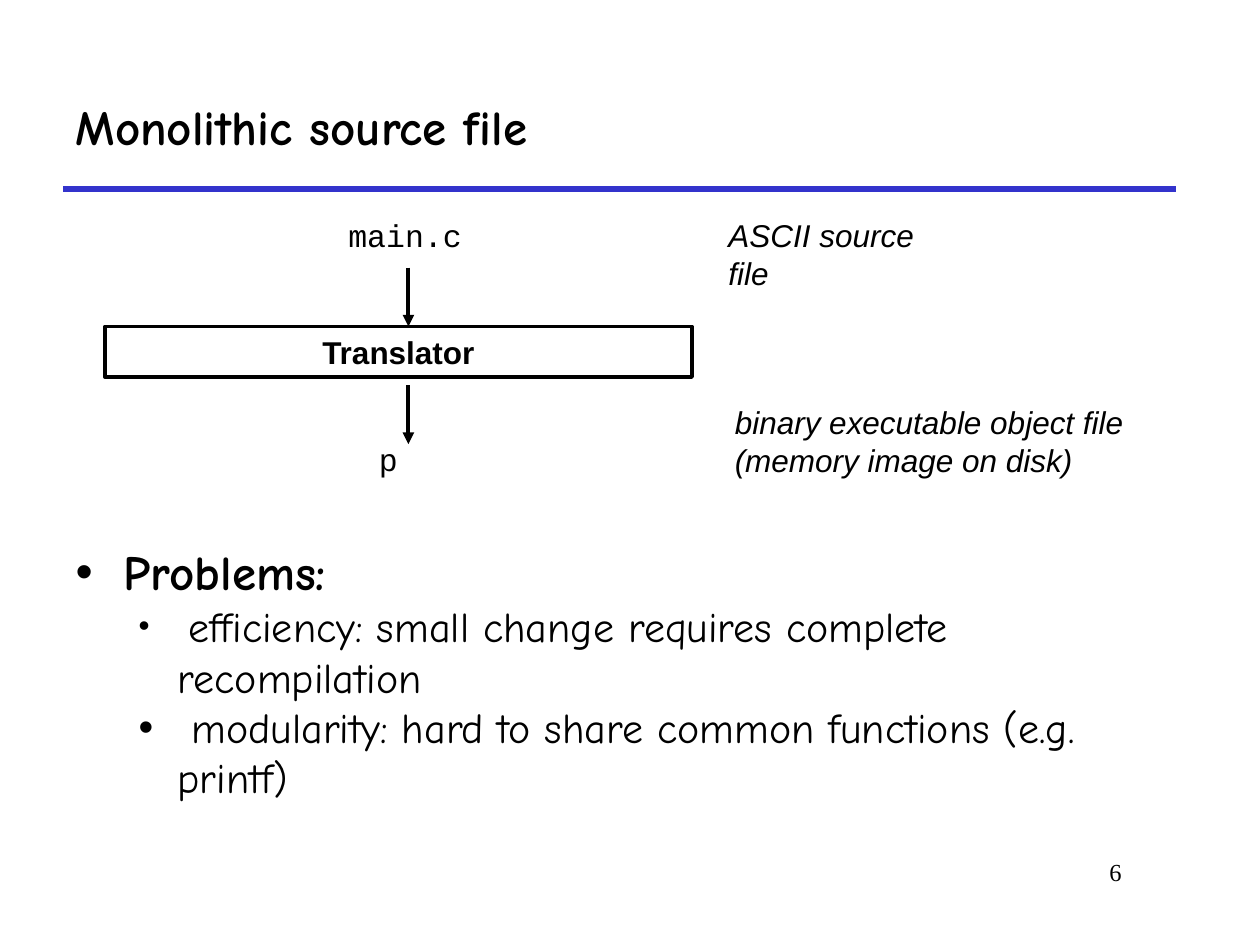
from dataclasses import dataclass

from lxml.etree import SubElement
from pptx import Presentation
from pptx.dml.color import RGBColor
from pptx.enum.shapes import MSO_CONNECTOR, MSO_SHAPE
from pptx.enum.text import MSO_ANCHOR, MSO_AUTO_SIZE, PP_ALIGN
from pptx.oxml.ns import qn
from pptx.util import Inches, Pt


@dataclass(frozen=True)
class Theme:
    ink: RGBColor = RGBColor(0, 0, 0)
    accent: RGBColor = RGBColor(0x33, 0x33, 0xCC)
    heading_font: str = "Comic Neue"
    label_font: str = "Arial"
    code_font: str = "Courier New"
    number_font: str = "Times New Roman"
    heading_size: int = 28
    detail_size: int = 24
    label_size: int = 18
    number_size: int = 14
    rule_width: float = 3
    line_width: float = 2.25


def grid(*cells):
    """Lengths from columns and rows of a grid with 12 cells to the inch."""
    return [Inches(cell / 12) for cell in cells]


class SlideBuilder:
    def __init__(self, prs, theme):
        self.theme = theme
        self.s = prs.slides.add_slide(prs.slide_layouts[1])

    def run(self, p, text, font, size, bold=False, italic=False):
        r = p.add_run()
        r.text = text
        r.font.name, r.font.size = font, Pt(size)
        r.font.bold, r.font.italic = bold, italic
        r.font.color.rgb = self.theme.ink

    def place(self, sp, box):
        sp.left, sp.top, sp.width, sp.height = grid(*box)
        sp.text_frame.auto_size = MSO_AUTO_SIZE.NONE
        return sp.text_frame

    def title(self, text, box):
        tf = self.place(self.s.shapes.title, box)
        tf.vertical_anchor = MSO_ANCHOR.MIDDLE
        p = tf.paragraphs[0]
        p.alignment = PP_ALIGN.LEFT
        self.run(p, text, self.theme.heading_font, self.theme.heading_size, bold=True)

    def bullets(self, items, box):
        """Fill the body; each item is a level and its (text, size, bold) runs."""
        tf = self.place(self.s.placeholders[1], box)
        for i, (level, runs) in enumerate(items):
            p = tf.add_paragraph() if i else tf.paragraphs[0]
            p.level = level
            p.space_before = Pt(0)
            margin, indent = ((0.38, -0.38), (0.81, -0.31))[level]
            pPr = p._p.get_or_add_pPr()
            pPr.set("marL", str(Inches(margin)))
            pPr.set("indent", str(Inches(indent)))
            color = SubElement(pPr, qn("a:buClr"))
            SubElement(color, qn("a:srgbClr")).set("val", str(self.theme.ink))
            SubElement(pPr, qn("a:buChar")).set("char", "•")
            for text, size, bold in runs:
                self.run(p, text, self.theme.heading_font, size, bold)

    def label(self, lines, box, font, size, align=PP_ALIGN.LEFT, italic=False, wrap=False):
        tf = self.s.shapes.add_textbox(*grid(*box)).text_frame
        tf.word_wrap = wrap
        for i, line in enumerate(lines):
            p = tf.add_paragraph() if i else tf.paragraphs[0]
            p.alignment = align
            self.run(p, line, font, size, italic=italic)

    def box(self, text, box):
        sp = self.s.shapes.add_shape(MSO_SHAPE.RECTANGLE, *grid(*box))
        sp.shadow.inherit = False
        sp.fill.background()
        sp.line.color.rgb = self.theme.ink
        sp.line.width = Pt(self.theme.line_width)
        p = sp.text_frame.paragraphs[0]
        p.alignment = PP_ALIGN.CENTER
        self.run(p, text, self.theme.label_font, self.theme.label_size, bold=True)

    def line(self, ends, color, width, arrow=False):
        cxn = self.s.shapes.add_connector(MSO_CONNECTOR.STRAIGHT, *grid(*ends))
        cxn.line.color.rgb = color
        cxn.line.width = Pt(width)
        if arrow:
            SubElement(cxn.line._get_or_add_ln(), qn("a:tailEnd")).set("type", "triangle")
        SubElement(cxn._element.spPr, qn("a:effectLst"))


def main():
    prs = Presentation()
    prs.slide_width, prs.slide_height = grid(120, 90)
    theme = Theme()
    slide = SlideBuilder(prs, theme)

    slide.line((6, 18, 112, 18), theme.accent, theme.rule_width)
    slide.title("Monolithic source file", (6, 6, 106, 12))
    slide.bullets([
        (0, [("Problems:", theme.heading_size, True)]),
        (1, [(" ", theme.label_size, False),
             ("efficiency: small change requires complete recompilation",
              theme.detail_size, False)]),
        (1, [(" modularity: hard to share common functions (e.g. printf)",
              theme.detail_size, False)]),
    ], (6, 51, 109, 28))

    slide.box("Translator", (10, 31.1, 55.9, 4.8))
    for top in (25.5, 36.7):
        slide.line((38.9, top, 38.9, top + 5.6), theme.ink, theme.line_width, arrow=True)
    for name, box in (("main.c", (32, 20, 13.2, 4.8)), ("p", (34.9, 41.3, 4.2, 4.8))):
        slide.label([name], box, theme.code_font, theme.label_size)
    for lines, box in (
        (["ASCII source file"], (68.2, 20, 24.7, 4.8)),
        (["binary executable object file", "(memory image on disk)"],
         (68.8, 37.8, 39.4, 8.4)),
    ):
        slide.label(lines, box, theme.label_font, theme.label_size, italic=True)

    slide.label(["6"], (91, 81, 17, 6), theme.number_font, theme.number_size,
                align=PP_ALIGN.RIGHT, wrap=True)
    prs.save("out.pptx")


if __name__ == "__main__":
    main()
